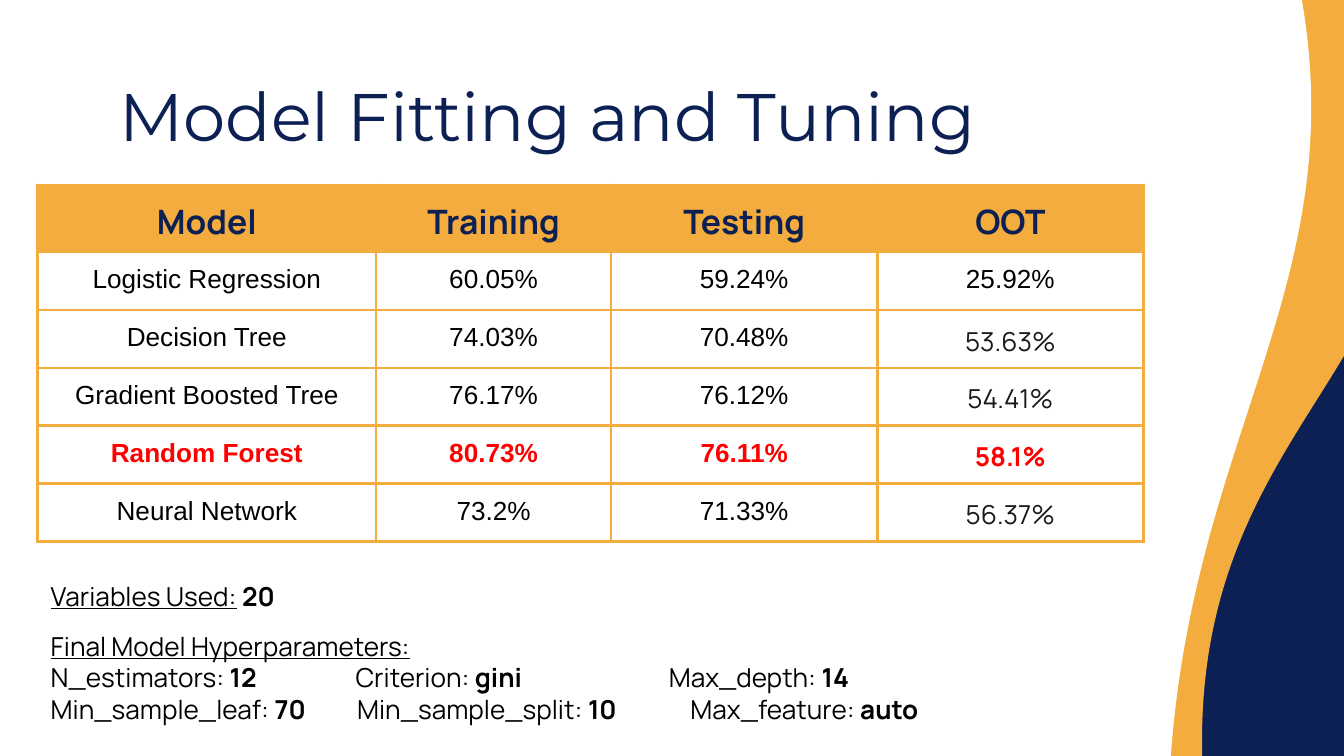
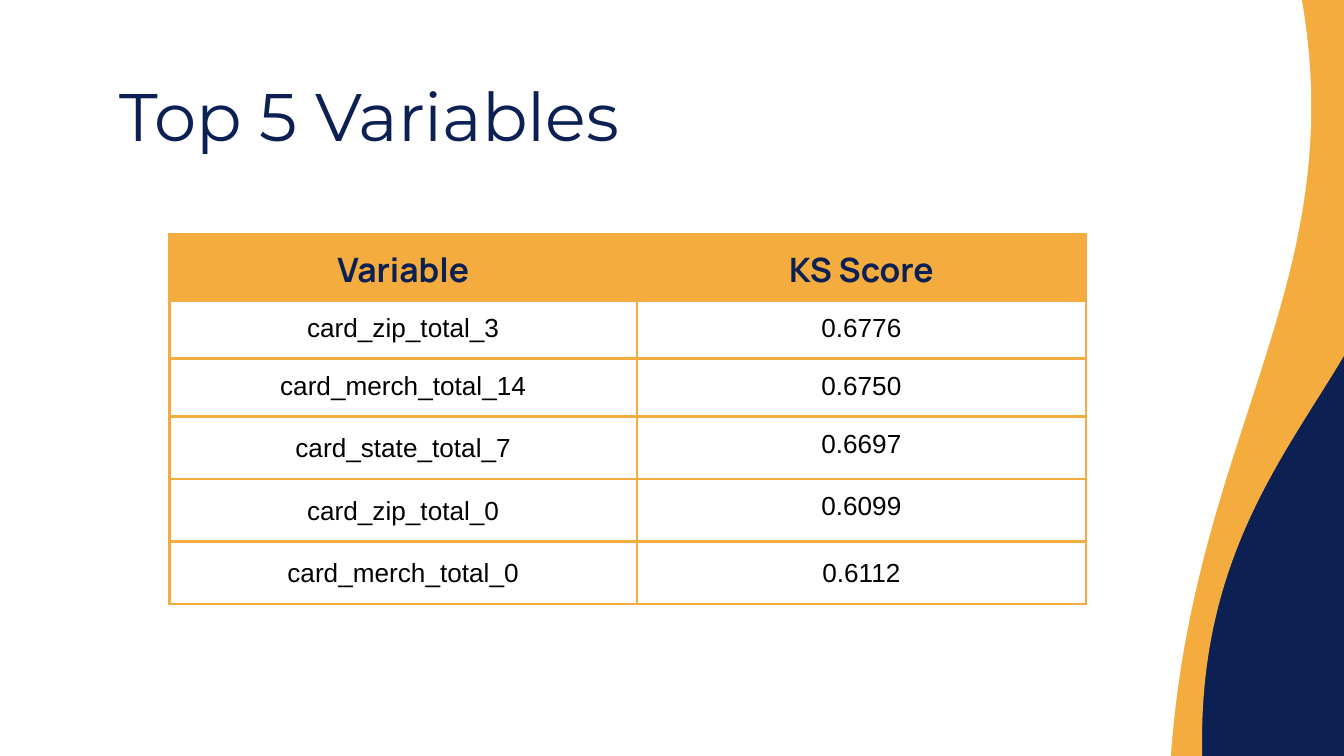
import dataclasses

import lxml.etree
import pptx
import pptx.dml.color
import pptx.enum.shapes
import pptx.enum.text
import pptx.oxml.ns
import pptx.presentation
import pptx.slide
import pptx.text.text
import pptx.util
from pptx.util import Cm

COLOURS = {
    "navy": "0C2054",
    "gold": "F3AC3D",
    "white": "FFFFFF",
    "black": "000000",
    "charcoal": "191919",
    "red": "FF0000",
}
TITLE_FONT = "Montserrat"
ACCENT_FONT = "Manrope"
BODY_FONT = "Arial"
ROW_HEIGHT = Cm(1.07)
INSET = Cm(0.25)
BORDER_WIDTH = pptx.util.Pt(1.5)


@dataclasses.dataclass(frozen=True)
class Wave:
    left: float
    top: float
    width: float
    height: float
    rotation: float
    colour: str


@dataclasses.dataclass(frozen=True)
class Entry:
    text: str
    font: str = BODY_FONT
    colour: str = "black"
    size: int = 14
    bold: bool = False
    spacing: float = 1.0
    fill: str | None = None


@dataclasses.dataclass(frozen=True)
class Piece:
    text: str
    bold: bool = False
    underline: bool = False


@dataclasses.dataclass(frozen=True)
class Note:
    pieces: list[Piece]
    space_before: int = 0
    tabs: tuple[float, ...] = ()


WAVES = [
    Wave(7.85, -4.29, 15.32, 22.86, 267.6, "gold"),
    Wave(-0.28, -5.56, 25.35, 27.18, 261.7, "white"),
]

MODEL_HEADINGS = ["Model", "Training", "Testing", "OOT"]
MODEL_SCORES = [
    ("Logistic Regression", "60.05%", "59.24%", "25.92%"),
    ("Decision Tree", "74.03%", "70.48%", "53.63%"),
    ("Gradient Boosted Tree", "76.17%", "76.12%", "54.41%"),
    ("Random Forest", "80.73%", "76.11%", "58.1%"),
    ("Neural Network", "73.2%", "71.33%", "56.37%"),
]
CHOSEN_MODEL = "Random Forest"

VARIABLE_HEADINGS = ["Variable", "KS Score"]
VARIABLE_SCORES = [
    ("card_zip_total_3", "0.6776"),
    ("card_merch_total_14", "0.6750"),
    ("card_state_total_7", "0.6697"),
    ("card_zip_total_0", "0.6099"),
    ("card_merch_total_0", "0.6112"),
]
LOOSE_ENTRIES = {"card_state_total_7", "card_zip_total_0", "card_merch_total_0", "0.6112"}


def rgb(name: str) -> pptx.dml.color.RGBColor:
    return pptx.dml.color.RGBColor.from_string(COLOURS[name])


def style_font(font: pptx.text.text.Font, family: str, size: int, colour: str) -> None:
    font.name = family
    font.size = pptx.util.Pt(size)
    font.color.rgb = rgb(colour)


def add_wave(slide: pptx.slide.Slide, wave: Wave) -> None:
    shape = slide.shapes.add_shape(
        pptx.enum.shapes.MSO_SHAPE.FLOWCHART_DOCUMENT,
        Cm(wave.left), Cm(wave.top), Cm(wave.width), Cm(wave.height),
    )
    shape.rotation = wave.rotation
    shape._element.spPr.find(pptx.oxml.ns.qn("a:xfrm")).set("flipH", "1")
    shape.shadow.inherit = False
    shape.fill.solid()
    shape.fill.fore_color.rgb = rgb(wave.colour)
    shape.line.fill.background()


def add_text_frame(
    slide: pptx.slide.Slide, left: float, top: float, width: float, height: float
) -> pptx.text.text.TextFrame:
    frame = slide.shapes.add_textbox(Cm(left), Cm(top), Cm(width), Cm(height)).text_frame
    frame.word_wrap = True
    frame.margin_left = frame.margin_right = INSET
    frame.margin_top = frame.margin_bottom = INSET
    return frame


def add_titled_slide(deck: pptx.presentation.Presentation, title: str) -> pptx.slide.Slide:
    slide = deck.slides.add_slide(deck.slide_layouts[6])
    slide.background.fill.solid()
    slide.background.fill.fore_color.rgb = rgb("navy")
    for wave in WAVES:
        add_wave(slide, wave)
    frame = add_text_frame(slide, 2.01, 1.5, 21.41, 1.35)
    frame.vertical_anchor = pptx.enum.text.MSO_ANCHOR.MIDDLE
    heading = frame.paragraphs[0]
    heading.text = title
    style_font(heading.font, TITLE_FONT, 36, "navy")
    return slide


def add_borders(cell) -> None:
    properties = cell._tc.get_or_add_tcPr()
    qn = pptx.oxml.ns.qn
    for side in ("a:lnL", "a:lnR", "a:lnT", "a:lnB"):
        line = lxml.etree.SubElement(properties, qn(side), w=str(BORDER_WIDTH))
        fill = lxml.etree.SubElement(line, qn("a:solidFill"))
        lxml.etree.SubElement(fill, qn("a:srgbClr"), val=COLOURS["gold"])


def fill_cell(cell, entry: Entry) -> None:
    cell.margin_left = cell.margin_right = INSET
    cell.margin_top = cell.margin_bottom = INSET
    add_borders(cell)
    if entry.fill:
        cell.fill.solid()
        cell.fill.fore_color.rgb = rgb(entry.fill)
    else:
        cell.fill.background()
    paragraph = cell.text_frame.paragraphs[0]
    paragraph.text = entry.text
    paragraph.alignment = pptx.enum.text.PP_ALIGN.CENTER
    paragraph.line_spacing = entry.spacing
    style_font(paragraph.font, entry.font, entry.size, entry.colour)
    paragraph.font.bold = entry.bold


def add_score_table(
    slide: pptx.slide.Slide,
    left: float,
    top: float,
    widths: list[float],
    headings: list[str],
    body: list[list[Entry]],
) -> None:
    header = [Entry(text, ACCENT_FONT, "navy", 18, True, fill="gold") for text in headings]
    rows = [header, *body]
    table = slide.shapes.add_table(
        len(rows), len(widths), Cm(left), Cm(top), Cm(sum(widths)), ROW_HEIGHT * len(rows)
    ).table
    table.first_row = table.horz_banding = False
    for column, width in zip(table.columns, widths):
        column.width = Cm(width)
    for row_index, row in enumerate(rows):
        table.rows[row_index].height = ROW_HEIGHT
        for column_index, entry in enumerate(row):
            fill_cell(table.cell(row_index, column_index), entry)


def model_row(index: int, scores: tuple[str, ...]) -> list[Entry]:
    chosen = scores[0] == CHOSEN_MODEL
    row = [Entry(text, colour="red" if chosen else "black", bold=chosen) for text in scores]
    if index > 0:
        row[-1] = dataclasses.replace(
            row[-1], font=ACCENT_FONT, colour="red" if chosen else "charcoal"
        )
    return row


def variable_row(scores: tuple[str, ...]) -> list[Entry]:
    return [Entry(text, spacing=1.15 if text in LOOSE_ENTRIES else 1.0) for text in scores]


def setting_note(settings: dict[str, str], tabs: tuple[float, ...]) -> Note:
    pieces = []
    for index, (name, value) in enumerate(settings.items()):
        lead = "\t" if index else ""
        pieces += [Piece(f"{lead}{name}: "), Piece(value, bold=True)]
    return Note(pieces, tabs=tabs)


def add_notes(frame: pptx.text.text.TextFrame, notes: list[Note]) -> None:
    qn = pptx.oxml.ns.qn
    for index, note in enumerate(notes):
        paragraph = frame.add_paragraph() if index else frame.paragraphs[0]
        if note.space_before:
            paragraph.space_before = pptx.util.Pt(note.space_before)
        if note.tabs:
            stops = lxml.etree.SubElement(paragraph._p.get_or_add_pPr(), qn("a:tabLst"))
            for position in note.tabs:
                lxml.etree.SubElement(stops, qn("a:tab"), pos=str(Cm(position)), algn="l")
        style_font(paragraph.font, ACCENT_FONT, 14, "black")
        for piece in note.pieces:
            run = paragraph.add_run()
            run.text = piece.text
            run.font.bold = piece.bold
            run.font.underline = piece.underline


def build_model_slide(deck: pptx.presentation.Presentation) -> None:
    slide = add_titled_slide(deck, "Model Fitting and Tuning")
    body = [model_row(index, scores) for index, scores in enumerate(MODEL_SCORES)]
    add_score_table(slide, 0.71, 3.5, [6.4, 4.44, 5.03, 5.03], MODEL_HEADINGS, body)
    add_notes(
        add_text_frame(slide, 0.71, 10.72, 20.29, 3.25),
        [
            Note([Piece("Variables Used:", underline=True), Piece(" 20", bold=True)]),
            Note([Piece("Final Model Hyperparameters:", underline=True)], space_before=10),
            setting_note(
                {"N_estimators": "12", "Criterion": "gini", "Max_depth": "14"}, (5.76, 11.68)
            ),
            setting_note(
                {"Min_sample_leaf": "70", "Min_sample_split": "10", "Max_feature": "auto"},
                (5.79, 12.09),
            ),
        ],
    )


def build_variable_slide(deck: pptx.presentation.Presentation) -> None:
    slide = add_titled_slide(deck, "Top 5 Variables")
    body = [variable_row(scores) for scores in VARIABLE_SCORES]
    add_score_table(slide, 3.2, 4.42, [8.84, 8.48], VARIABLE_HEADINGS, body)


def main() -> None:
    deck = pptx.Presentation()
    deck.slide_width = Cm(25.4)
    deck.slide_height = Cm(14.29)
    build_model_slide(deck)
    build_variable_slide(deck)
    deck.save("out.pptx")


if __name__ == "__main__":
    main()
